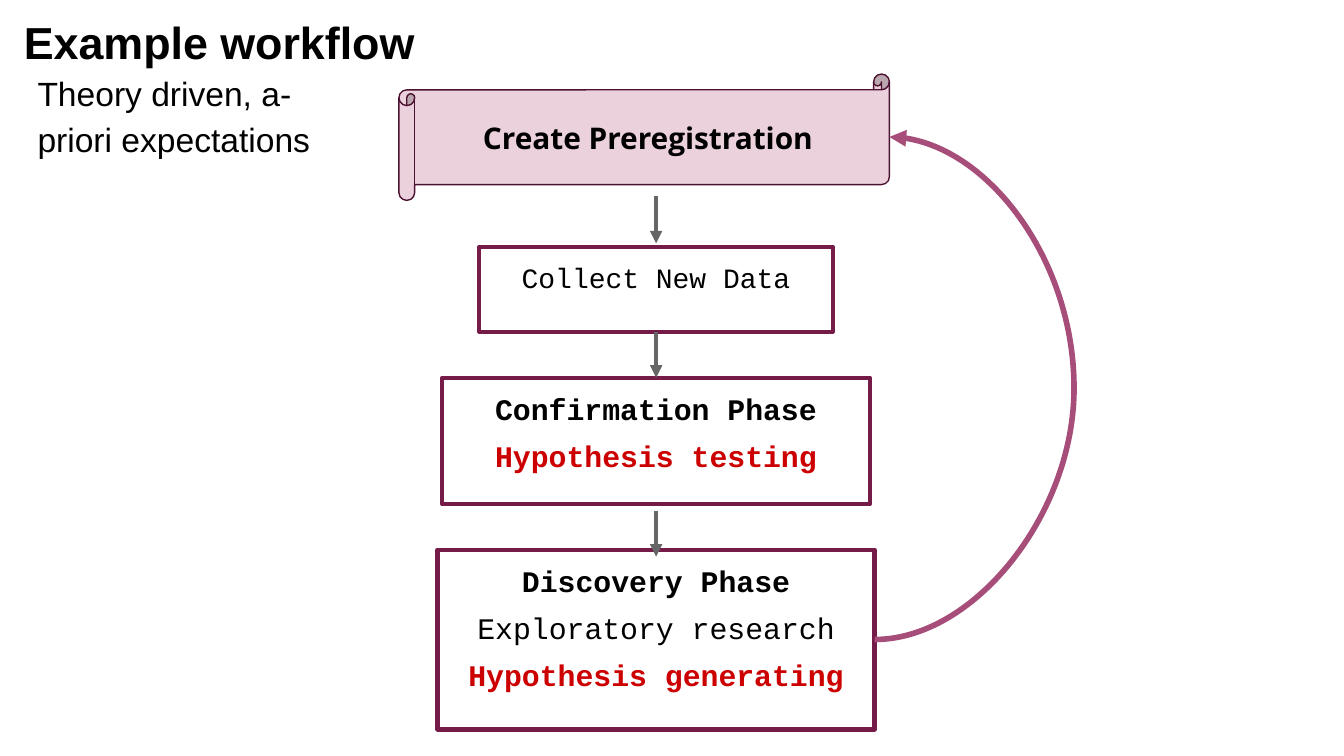
from lxml import etree
from pptx import Presentation
from pptx.dml.color import RGBColor
from pptx.enum.shapes import MSO_CONNECTOR as Link, MSO_SHAPE as Shape
from pptx.enum.text import MSO_ANCHOR as Anchor, PP_ALIGN as Align
from pptx.oxml.ns import qn
from pptx.util import Cm, Pt

AXIS = 12.4
INSET = 0.25
MONO = "Courier New"


def color(value):
    """Turn a hex string into a colour."""
    return RGBColor.from_string(value)


def write(frame, text, first=False, font="Arial", size=16, ink="000000", bold=False,
          align=Align.LEFT, before=0, spacing=1.0):
    """Write one formatted paragraph into a text frame."""
    line = frame.paragraphs[0] if first else frame.add_paragraph()
    line.alignment, line.line_spacing = align, spacing
    line.space_before = Pt(before)
    run = line.add_run()
    run.text = text
    run.font.name, run.font.size, run.font.bold = font, Pt(size), bold
    run.font.color.rgb = color(ink)


def set_frame(shape, anchor):
    """Prepare a wrapping text frame with even insets."""
    frame = shape.text_frame
    frame.word_wrap, frame.vertical_anchor = True, anchor
    frame.margin_left = frame.margin_right = Cm(INSET)
    frame.margin_top = frame.margin_bottom = Cm(INSET)
    return frame


def add_label(slide, box, text, anchor, **style):
    """Place a free text label in the box."""
    label = slide.shapes.add_textbox(*map(Cm, box))
    write(set_frame(label, anchor), text, first=True, **style)


def add_panel(slide, box, preset, anchor, edge, weight, fill=None):
    """Place an outlined shape and return it with its text frame."""
    panel = slide.shapes.add_shape(preset, *map(Cm, box))
    panel.shadow.inherit = False
    panel.line.color.rgb, panel.line.width = color(edge), Pt(weight)
    if fill:
        panel.fill.solid()
        panel.fill.fore_color.rgb = color(fill)
    else:
        panel.fill.background()
    return panel, set_frame(panel, anchor)


def add_scroll(slide, box):
    """Place the preregistration scroll."""
    scroll, frame = add_panel(slide, box, Shape.HORIZONTAL_SCROLL, Anchor.MIDDLE,
                              "4C1130", 0.75, "EAD1DC")
    write(frame, "Create Preregistration", first=True, font="Open Sans", bold=True,
          align=Align.CENTER)


def add_phase(slide, top, width, height, lines):
    """Place a phase box centred on the workflow axis."""
    box = (AXIS - width / 2, top, width, height)
    phase, frame = add_panel(slide, box, Shape.RECTANGLE, Anchor.TOP, "741B47", 2.25)
    for number, (text, style) in enumerate(lines):
        write(frame, text, first=number == 0, font=MONO, align=Align.CENTER, before=6, **style)
    return phase


def add_arrow(slide, start, end, ink="666666", weight=2.25, kind=Link.STRAIGHT):
    """Place a connector with a triangular head at its end."""
    arrow = slide.shapes.add_connector(kind, *map(Cm, (*start, *end)))
    arrow.line.color.rgb, arrow.line.width = color(ink), Pt(weight)
    etree.SubElement(arrow.line._get_or_add_ln(), qn("a:tailEnd"), type="triangle")
    etree.SubElement(arrow._element.spPr, qn("a:effectLst"))
    return arrow


def add_return_loop(slide, start, end, reach):
    """Place the curved arrow that bulges right as far as reach."""
    loop = add_arrow(slide, start, end, "A64D79", 3, Link.CURVE)
    bulge = round((reach - start[0]) / (end[0] - start[0]) * 100000)
    guides = loop._element.spPr.find(qn("a:prstGeom")).get_or_add_avLst()
    etree.SubElement(guides, qn("a:gd"), name="adj1", fmla=f"val {bulge}")


def add_workflow(slide):
    """Place the phases and the arrows between them."""
    strong = {"bold": True}
    accent = {"bold": True, "ink": "CC0000"}
    collection = add_phase(slide, 4.67, 6.68, 1.6, [("Collect New Data", {"size": 15})])
    confirmation = add_phase(slide, 7.14, 8.08, 2.39, [
        ("Confirmation Phase", strong), ("Hypothesis testing", accent)])
    add_phase(slide, 10.39, 8.26, 3.4, [
        ("Discovery Phase", strong), ("Exploratory research", {}),
        ("Hypothesis generating", accent)])
    add_scroll(slide, (7.54, 1.4, 9.27, 2.39))
    add_arrow(slide, (AXIS, 3.71), (AXIS, 4.6))
    testing = add_arrow(slide, (AXIS, 6.27), (AXIS, 7.14))
    testing.begin_connect(collection, 2)
    testing.end_connect(confirmation, 0)
    add_arrow(slide, (AXIS, 9.65), (AXIS, 10.52))
    add_return_loop(slide, (16.53, 12.09), (16.81, 2.59), 20.3)


def main():
    """Build and save the slide."""
    deck = Presentation()
    deck.slide_width, deck.slide_height = Cm(25.4), Cm(14.29)
    slide = deck.slides.add_slide(deck.slide_layouts[6])
    add_label(slide, (0.2, 0.13, 9.86, 1.42), "Example workflow", Anchor.BOTTOM,
              size=24, bold=True)
    add_workflow(slide)
    add_label(slide, (0.46, 1.27, 6.68, 1.73), "Theory driven, a-priori expectations",
              Anchor.MIDDLE, size=18, spacing=1.15)
    deck.save("out.pptx")


if __name__ == "__main__":
    main()
